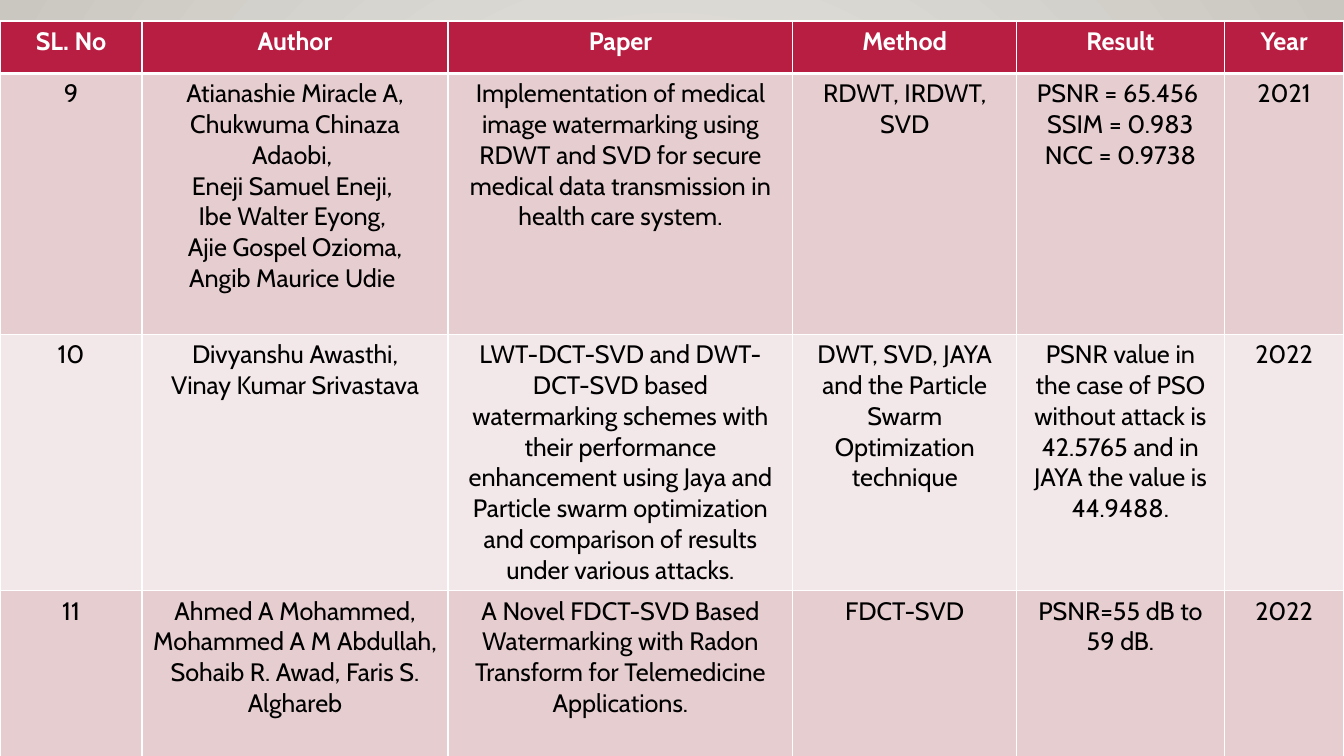
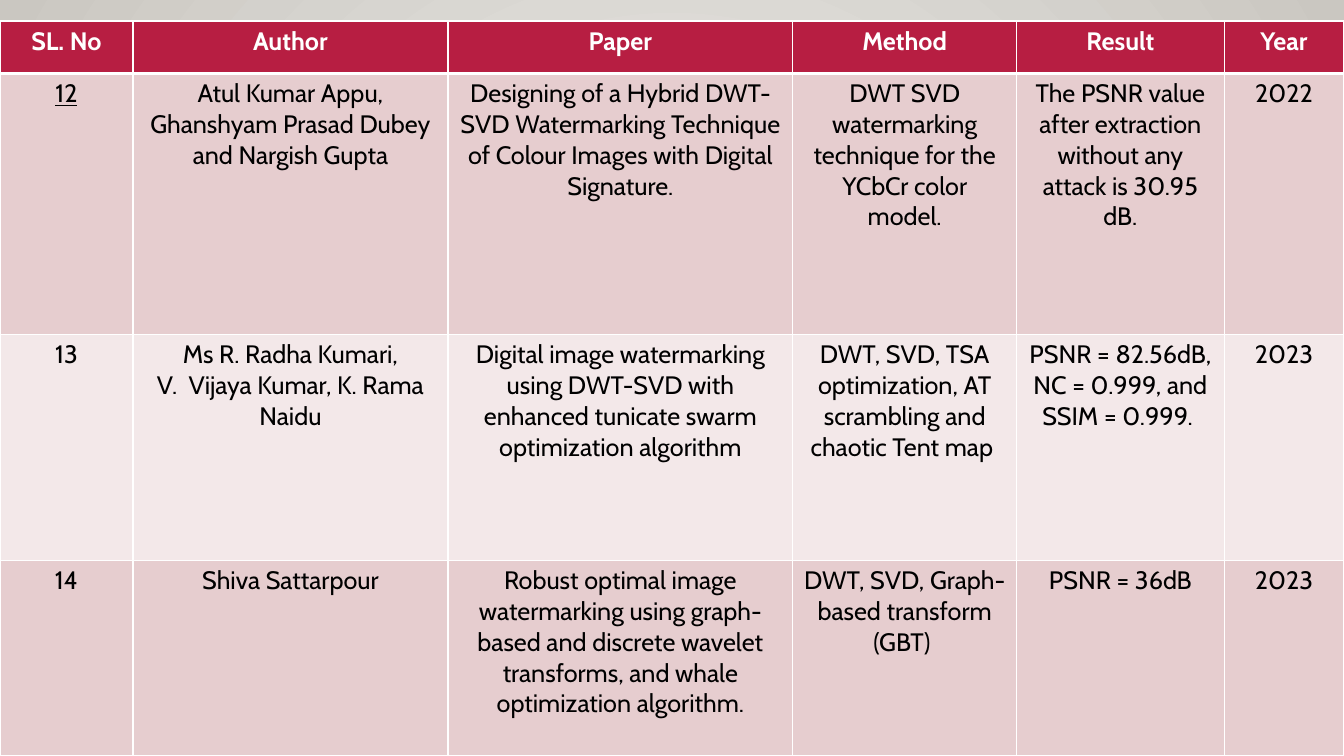
from lxml.etree import SubElement
from pptx import Presentation
from pptx.dml.color import RGBColor
from pptx.enum.text import PP_ALIGN
from pptx.oxml import parse_xml
from pptx.oxml.ns import nsdecls, qn
from pptx.util import Cm, Pt

# Shared style
FONT = "Cabin"
TEXT_SIZE = Pt(18)
WHITE = RGBColor(0xFF, 0xFF, 0xFF)
BLACK = RGBColor(0x00, 0x00, 0x00)
CRIMSON = RGBColor(0xB7, 0x1E, 0x42)
ROSE = RGBColor(0xE6, 0xCD, 0xCF)
PALE_ROSE = RGBColor(0xF3, 0xE8, 0xE9)
BACKGROUND_CENTRE = RGBColor(0xEC, 0xEA, 0xE7)
BACKGROUND_EDGE = RGBColor(0xCA, 0xC7, 0xC1)

SLIDE_WIDTH, SLIDE_HEIGHT = 33.87, 19.05
TABLE_TOP = 0.53
ROW_HEIGHTS = [1.32, 6.58, 5.69, 4.93]
RIGHT_COLUMN_WIDTHS = [8.69, 5.64, 5.23, 3.02]
THIN_LINE, HEADER_LINE = Pt(1), Pt(3)

HEADINGS = ["SL. No", "Author", "Paper", "Method", "Result", "Year"]
PAPERS_9_TO_11 = [
    ["9",
     "Atianashie Miracle A, Chukwuma Chinaza Adaobi, \nEneji Samuel Eneji, \n"
     "Ibe Walter Eyong, \nAjie Gospel Ozioma,\nAngib Maurice Udie ",
     "Implementation of medical image watermarking using RDWT and SVD for "
     "secure medical data transmission in health care system.",
     "RDWT, IRDWT, SVD",
     "PSNR = 65.456 \nSSIM = 0.983\nNCC = 0.9738",
     "2021"],
    ["10",
     "Divyanshu Awasthi,\nVinay Kumar Srivastava",
     "LWT-DCT-SVD and DWT-DCT-SVD based watermarking schemes with their "
     "performance enhancement using Jaya and Particle swarm optimization "
     "and comparison of results under various attacks.",
     "DWT, SVD, JAYA and the Particle Swarm Optimization technique",
     "PSNR value in the case of PSO without attack is 42.5765 and in JAYA "
     "the value is 44.9488.",
     "2022"],
    ["11",
     "Ahmed A Mohammed,\n"
     "Mohammed A M Abdullah, Sohaib R. Awad, Faris S. Alghareb",
     "A Novel FDCT-SVD Based Watermarking with Radon Transform for "
     "Telemedicine Applications.",
     "FDCT-SVD",
     "PSNR=55 dB to 59 dB.",
     "2022"],
]
PAPERS_12_TO_14 = [
    ["12",
     "Atul Kumar Appu, Ghanshyam Prasad Dubey and Nargish Gupta",
     "Designing of a Hybrid DWT-SVD Watermarking Technique of Colour Images "
     "with Digital Signature.",
     "DWT SVD watermarking technique for the YCbCr color model.",
     "The PSNR value after extraction without any attack is 30.95 dB.",
     "2022"],
    ["13",
     "Ms R. Radha Kumari,\nV.  Vijaya Kumar, K. Rama Naidu",
     "Digital image watermarking using DWT-SVD with enhanced tunicate swarm "
     "optimization algorithm",
     "DWT, SVD, TSA optimization, AT scrambling and chaotic Tent map ",
     "PSNR = 82.56dB, NC = 0.999, and SSIM = 0.999. ",
     "2023"],
    ["14",
     "Shiva Sattarpour",
     "Robust optimal image watermarking using graph-based and discrete "
     "wavelet transforms, and whale optimization algorithm.",
     "DWT, SVD, Graph-based transform (GBT) ",
     "PSNR = 36dB",
     "2023"],
]


def set_background(master):
    """Radial gradient shared by every slide."""
    fill = master.background.fill
    fill.gradient()
    for stop, color, position in zip(
            fill.gradient_stops, (BACKGROUND_CENTRE, BACKGROUND_EDGE), (0, 1)):
        stop.color.rgb = color
        stop.position = position
    linear = next(master.element.iter(qn("a:lin")))
    linear.getparent().replace(linear, parse_xml(
        f'<a:path {nsdecls("a")} path="circle">'
        '<a:fillToRect l="50000" t="50000" r="50000" b="50000"/></a:path>'))


def set_borders(cell, top, bottom):
    """White cell borders; left and right are always thin."""
    properties = cell._tc.get_or_add_tcPr()
    widths = {"lnL": THIN_LINE, "lnR": THIN_LINE, "lnT": top, "lnB": bottom}
    for index, (side, width) in enumerate(widths.items()):
        line = parse_xml(f'<a:{side} {nsdecls("a")} w="{int(width)}"/>')
        solid = SubElement(line, qn("a:solidFill"))
        SubElement(solid, qn("a:srgbClr"), val=str(WHITE))
        properties.insert(index, line)


def format_cell(cell, text, row_index):
    is_header = row_index == 0
    cell.text = text
    cell.fill.solid()
    cell.fill.fore_color.rgb = (
        CRIMSON if is_header else ROSE if row_index % 2 else PALE_ROSE)
    set_borders(cell,
                top=HEADER_LINE if row_index == 1 else THIN_LINE,
                bottom=HEADER_LINE if is_header else THIN_LINE)
    for paragraph in cell.text_frame.paragraphs:
        paragraph.alignment = PP_ALIGN.CENTER
        font = paragraph.font
        font.name, font.size, font.bold = FONT, TEXT_SIZE, is_header
        font.color.rgb = WHITE if is_header else BLACK


def add_literature_table(slide, left, top, width, height, number_width, papers):
    """Table of papers; the author column takes the width left over."""
    author_width = width - number_width - sum(RIGHT_COLUMN_WIDTHS)
    column_widths = [number_width, author_width, *RIGHT_COLUMN_WIDTHS]
    rows = [HEADINGS, *papers]
    table = slide.shapes.add_table(
        len(rows), len(HEADINGS),
        Cm(left), Cm(top), Cm(width), Cm(height)).table
    for column, column_width in zip(table.columns, column_widths):
        column.width = Cm(column_width)
    for row_index, (row, texts) in enumerate(zip(table.rows, rows)):
        row.height = Cm(ROW_HEIGHTS[row_index])
        for cell, text in zip(row.cells, texts):
            format_cell(cell, text, row_index)
    return table


def add_literature_slide(presentation, number_width, papers):
    slide = presentation.slides.add_slide(presentation.slide_layouts[6])
    return add_literature_table(slide, 0, TABLE_TOP, SLIDE_WIDTH,
                                SLIDE_HEIGHT - TABLE_TOP, number_width, papers)


def main():
    presentation = Presentation()
    presentation.slide_width = Cm(SLIDE_WIDTH)
    presentation.slide_height = Cm(SLIDE_HEIGHT)
    set_background(presentation.slide_master)

    add_literature_slide(presentation, 3.58, PAPERS_9_TO_11)
    table = add_literature_slide(presentation, 3.35, PAPERS_12_TO_14)
    # The first serial number of the second table is underlined
    table.cell(1, 0).text_frame.paragraphs[0].font.underline = True

    presentation.save("out.pptx")


if __name__ == "__main__":
    main()
